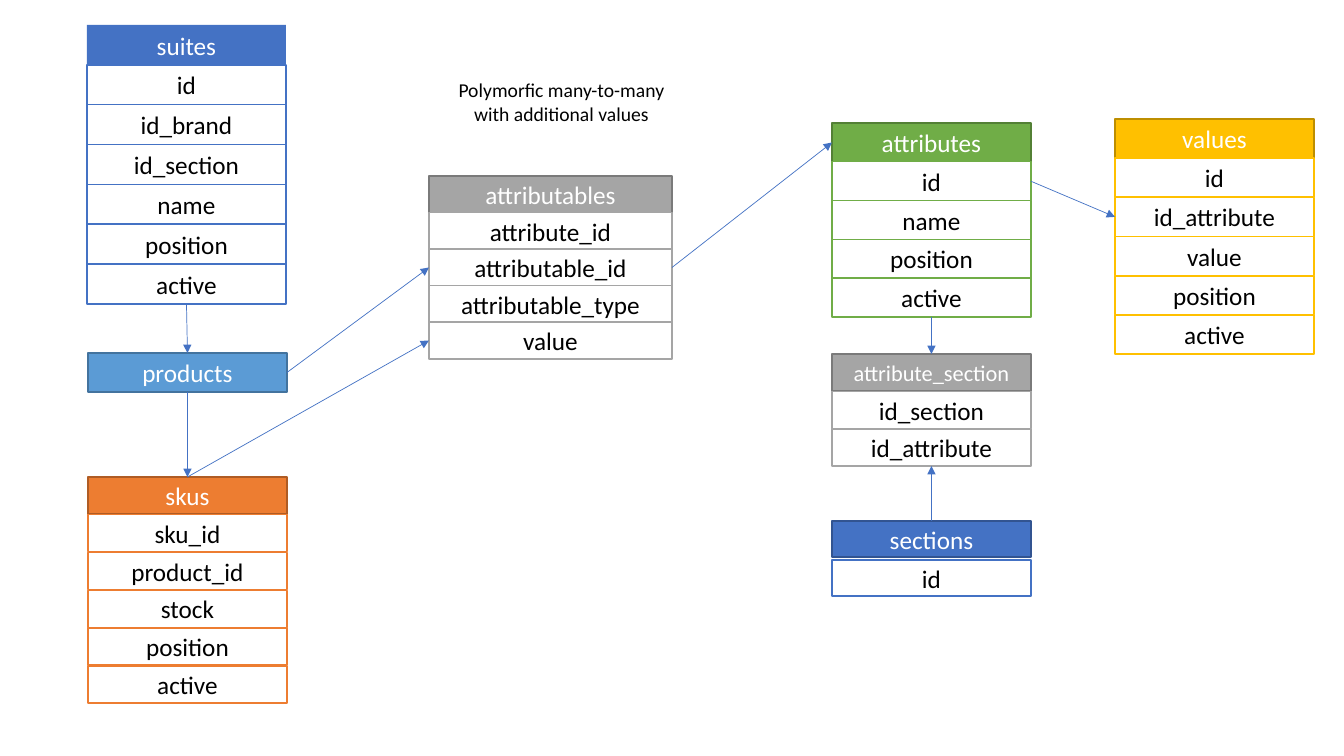
from lxml.etree import SubElement
from pptx import Presentation
from pptx.dml.color import RGBColor
from pptx.enum.shapes import MSO_CONNECTOR as Connector, MSO_SHAPE as Shape
from pptx.enum.text import MSO_ANCHOR as Anchor, PP_ALIGN as Align
from pptx.oxml.ns import qn
from pptx.util import Inches, Pt

PX_PER_INCH = 100.8
TOP, LEFT, BOTTOM, RIGHT = range(4)
WHITE, BLACK, BLUE = "FFFFFF", "000000", "4472C4"

TABLES = {
    "suites": ((87, 25, 199, 279), 40, BLUE, None, 18,
               ["id", "id_brand", "id_section", "name", "position", "active"]),
    "products": ((88, 353, 199, 39), 39, "5B9BD5", "43739E", 18, []),
    "skus": ((88, 477, 199, 226), 37, "ED7D31", "AF5C24", 18,
             ["sku_id", "product_id", "stock", "position", "active"]),
    "attributables": ((429, 176, 243, 183), 37, "A5A5A5", "7A7A7A", 18,
                      ["attribute_id", "attributable_id", "attributable_type", "value"]),
    "attributes": ((832, 123, 199, 194), 39, "70AD47", "538035", 18,
                   ["id", "name", "position", "active"]),
    "attribute_section": ((832, 354, 199, 112), 37, "A5A5A5", "7A7A7A", 16,
                          ["id_section", "id_attribute"]),
    "sections": ((832, 521, 199, 75), 36, BLUE, "325491", 18, ["id"]),
    "values": ((1115, 119, 199, 235), 39, "FFC000", "BD8E00", 18,
               ["id", "id_attribute", "value", "position", "active"]),
}

RELATIONS = [
    ("suites", "active", BOTTOM, "products", "products", TOP),
    ("products", "products", BOTTOM, "skus", "skus", TOP),
    ("products", "products", RIGHT, "attributables", "attributable_id", LEFT),
    ("skus", "skus", TOP, "attributables", "value", LEFT),
    ("attributables", "attributable_id", RIGHT, "attributes", "attributes", LEFT),
    ("attributes", "id", RIGHT, "values", "id_attribute", LEFT),
    ("attributes", "active", BOTTOM, "attribute_section", "attribute_section", TOP),
    ("sections", "sections", TOP, "attribute_section", "id_attribute", BOTTOM),
]


def px(length):
    return round(length * Inches(1) / PX_PER_INCH)


def color(value):
    return RGBColor.from_string(value)


def format_text(frame, size, ink):
    for para in frame.paragraphs:
        para.alignment = Align.CENTER
        for span in para.runs:
            span.font.name = "Calibri"
            span.font.size = Pt(size)
            span.font.color.rgb = color(ink)


def add_cell(page, box, text, fill, line, size, ink):
    cell = page.shapes.add_shape(Shape.RECTANGLE, *map(px, box))
    cell.shadow.inherit = False
    cell.fill.solid()
    cell.fill.fore_color.rgb = color(fill)
    if line:
        cell.line.color.rgb = color(line)
        cell.line.width = Pt(1)
    else:
        cell.line.fill.background()
    frame = cell.text_frame
    frame.word_wrap = True
    frame.vertical_anchor = Anchor.MIDDLE
    frame.text = text
    format_text(frame, size, ink)
    return cell


def add_entity(page, box, name, row_height, accent, border, header_size, fields):
    left, top, width, height = box
    step = (height - row_height) / max(len(fields), 1)
    cells = {name: add_cell(page, (left, top, width, row_height),
                            name, accent, border, header_size, WHITE)}
    for index, field in enumerate(fields, 1):
        row = (left, top + index * step, width, row_height)
        cells[field] = add_cell(page, row, field, WHITE, accent, 18, BLACK)
    return cells


def add_arrow(page, source, source_side, target, target_side):
    arrow = page.shapes.add_connector(Connector.STRAIGHT, 0, 0, 0, 0)
    arrow.begin_connect(source, source_side)
    arrow.end_connect(target, target_side)
    arrow.line.color.rgb = color(BLUE)
    arrow.line.width = Pt(0.5)
    SubElement(arrow.line._get_or_add_ln(), qn("a:tailEnd"), type="triangle")
    SubElement(arrow._element.spPr, qn("a:effectLst"))


def add_caption(page, box, text):
    caption = page.shapes.add_textbox(*map(px, box))
    frame = caption.text_frame
    frame.word_wrap = False
    frame.text = text
    format_text(frame, 14, BLACK)


def main():
    deck = Presentation()
    deck.slide_width, deck.slide_height = px(1344), px(756)
    page = deck.slides.add_slide(deck.slide_layouts[6])
    entities = {}
    for name, (box, *style) in TABLES.items():
        entities[name] = add_entity(page, box, name, *style)
    for source, source_row, source_side, target, target_row, target_side in RELATIONS:
        add_arrow(page, entities[source][source_row], source_side,
                  entities[target][target_row], target_side)
    add_caption(page, (445, 73, 233, 57),
                "Polymorfic many-to-many\nwith additional values")
    deck.save("out.pptx")


if __name__ == "__main__":
    main()
